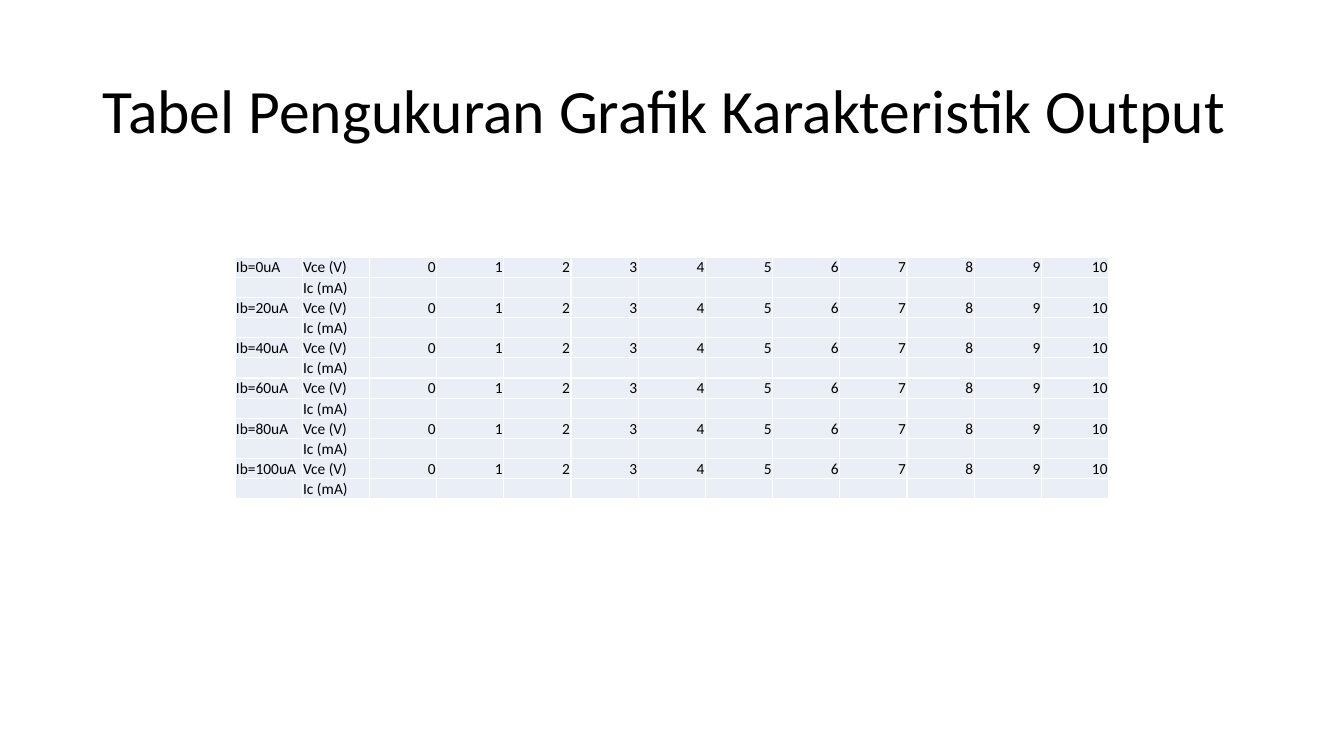
from pptx import Presentation
from pptx.dml.color import RGBColor
from pptx.enum import text as t
from pptx.oxml import ns
from pptx.util import Inches, Pt
from lxml import etree

BLACK = RGBColor(0x00, 0x00, 0x00)
PALE = RGBColor(0xEA, 0xEF, 0xF7)
FACE = "Calibri"
SIZE = 11
STEPS = range(0, 101, 20)
VOLTS = range(11)
CELL = {
    "margin_left": Inches(0.01),
    "margin_right": Inches(0.01),
    "margin_top": Inches(0.01),
    "margin_bottom": 0,
    "vertical_anchor": t.MSO_ANCHOR.BOTTOM,
}


def apply(item, values):
    for name, value in values.items():
        setattr(item, name, value)


def write(para, words, size, align):
    para.alignment = align
    run = para.add_run()
    run.text = words
    apply(run.font, {"name": FACE, "size": Pt(size)})
    run.font.color.rgb = BLACK


def add_title(slide, words):
    title = slide.shapes.title
    apply(title, {
        "left": Inches(0.92), "top": Inches(0.4),
        "width": Inches(11.5), "height": Inches(1.45),
    })
    frame = title.text_frame
    apply(frame, {
        "word_wrap": True,
        "auto_size": t.MSO_AUTO_SIZE.NONE,
        "vertical_anchor": t.MSO_ANCHOR.MIDDLE,
    })
    para = frame.paragraphs[0]
    write(para, words, 44, t.PP_ALIGN.LEFT)
    para.line_spacing = 0.9


def fill_cell(cell, words, align):
    apply(cell, CELL)
    cell.fill.solid()
    cell.fill.fore_color.rgb = PALE
    para = cell.text_frame.paragraphs[0]
    if words:
        write(para, words, SIZE, align)
    else:
        end = etree.SubElement(para._p, ns.qn("a:endParaRPr"))
        end.set("sz", str(SIZE * 100))


def get_rows():
    rows = []
    for step in STEPS:
        rows.append([f"Ib={step}uA", "Vce (V)", *map(str, VOLTS)])
        rows.append(["", "Ic (mA)", *[""] * len(VOLTS)])
    return rows


def add_grid(slide, rows):
    grid = slide.shapes.add_table(
        len(rows), len(rows[0]),
        Inches(2.33), Inches(2.55), Inches(8.67), Inches(2.4),
    ).table
    apply(grid, {"first_row": False, "horz_banding": False})
    for r, row in enumerate(rows):
        for c, words in enumerate(row):
            align = t.PP_ALIGN.LEFT if c < 2 else t.PP_ALIGN.RIGHT
            fill_cell(grid.cell(r, c), words, align)


def main():
    deck = Presentation()
    apply(deck, {"slide_width": Inches(13.33), "slide_height": Inches(7.5)})
    slide = deck.slides.add_slide(deck.slide_layouts[5])
    add_title(slide, "Tabel Pengukuran Grafik Karakteristik Output")
    add_grid(slide, get_rows())
    deck.save("out.pptx")


if __name__ == "__main__":
    main()
